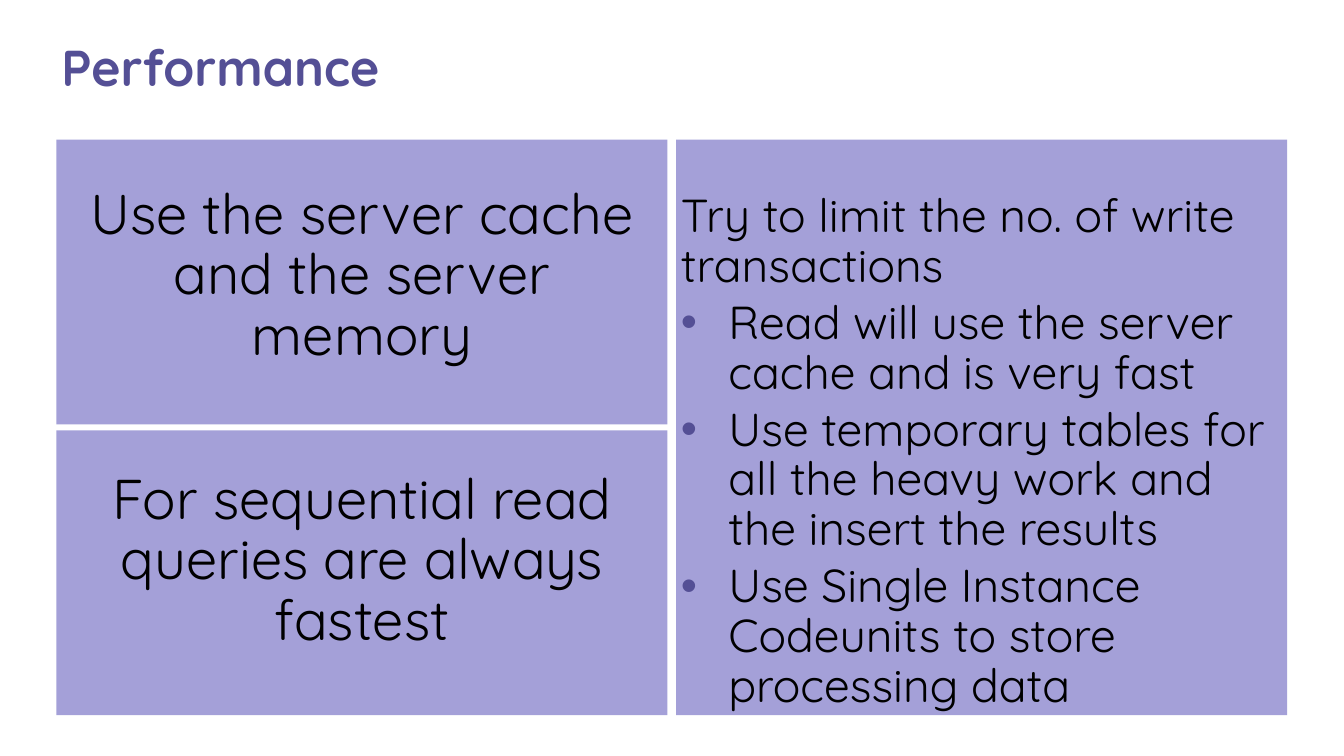
from lxml import etree
from pptx import Presentation
from pptx.dml.color import RGBColor
from pptx.enum import shapes, text
from pptx.oxml.ns import qn
from pptx.util import Inches, Pt

COLOURS = {"title": "544F95", "card": "A4A0D8", "text": "000000"}
LEFT, TOP = 1.12, 2.77
CARD_WIDTH, CARD_HEIGHT = 12.12, 5.65
COLUMN_GAP, ROW_GAP = 0.17, 0.12
BULLET_INDENT = 0.94


class SlideBuilder:
    def __init__(self, slide, font="Quicksand"):
        self.slide = slide
        self.font = font

    def colour(self, name):
        return RGBColor.from_string(COLOURS[name])

    def frame(self, shape, anchor, top_inset=0.05):
        frame = shape.text_frame
        frame.word_wrap = True
        frame.vertical_anchor = anchor
        frame.margin_top = Inches(top_inset)
        return frame

    def add_words(self, paragraph, words, size, colour, bold=False,
                  align=text.PP_ALIGN.LEFT):
        paragraph.alignment = align
        paragraph.line_spacing = 0.9
        run = paragraph.add_run()
        run.text = words
        run.font.name = self.font
        run.font.size = Pt(size)
        run.font.bold = bold
        run.font.color.rgb = self.colour(colour)

    def bullet(self, paragraph):
        """Give the paragraph a hanging, coloured bullet."""
        properties = paragraph._p.get_or_add_pPr()
        indent = Inches(BULLET_INDENT)
        properties.set("marL", str(indent))
        properties.set("indent", str(-indent))
        colour = etree.SubElement(properties, qn("a:buClr"))
        etree.SubElement(colour, qn("a:srgbClr"), val=COLOURS["title"])
        etree.SubElement(properties, qn("a:buFont"), typeface="Arial")
        etree.SubElement(properties, qn("a:buChar"), char="•")

    def title(self, words):
        box = self.slide.shapes.add_textbox(
            Inches(LEFT), Inches(0.41), Inches(24.41), Inches(1.97))
        frame = self.frame(box, text.MSO_ANCHOR.MIDDLE)
        self.add_words(frame.paragraphs[0], words, 72, "title", bold=True)

    def card(self, column, row, words, size, top_inset, rows=1, bullets=(),
             align=text.PP_ALIGN.CENTER):
        """Place a card on the grid; it may span several rows."""
        shape = self.slide.shapes.add_shape(
            shapes.MSO_SHAPE.RECTANGLE,
            Inches(LEFT + column * (CARD_WIDTH + COLUMN_GAP)),
            Inches(TOP + row * (CARD_HEIGHT + ROW_GAP)),
            Inches(CARD_WIDTH),
            Inches(rows * CARD_HEIGHT + (rows - 1) * ROW_GAP))
        shape.shadow.inherit = False
        shape.fill.solid()
        shape.fill.fore_color.rgb = self.colour("card")
        shape.line.fill.background()
        frame = self.frame(shape, text.MSO_ANCHOR.TOP, top_inset)
        self.add_words(frame.paragraphs[0], words, size, "text", align=align)
        for item in bullets:
            paragraph = frame.add_paragraph()
            paragraph.space_before = Pt(10)
            self.bullet(paragraph)
            self.add_words(paragraph, item, size, "text", align=align)


def main():
    presentation = Presentation()
    presentation.slide_width = Inches(26.66)
    presentation.slide_height = Inches(15)
    slide = presentation.slides.add_slide(presentation.slide_layouts[6])
    builder = SlideBuilder(slide)
    builder.title("Performance")
    builder.card(0, 0, "Use the server cache and the server memory", 80, 0.92)
    builder.card(0, 1, "For sequential read queries are always fastest", 80, 0.8)
    builder.card(
        1, 0, "Try to limit the no. of write transactions", 66, 1.05, rows=2,
        align=text.PP_ALIGN.LEFT,
        bullets=[
            "Read will use the server cache and is very fast",
            "Use temporary tables for all the heavy work and the insert the results",
            "Use Single Instance Codeunits to store processing data",
        ])
    presentation.save("out.pptx")


if __name__ == "__main__":
    main()
